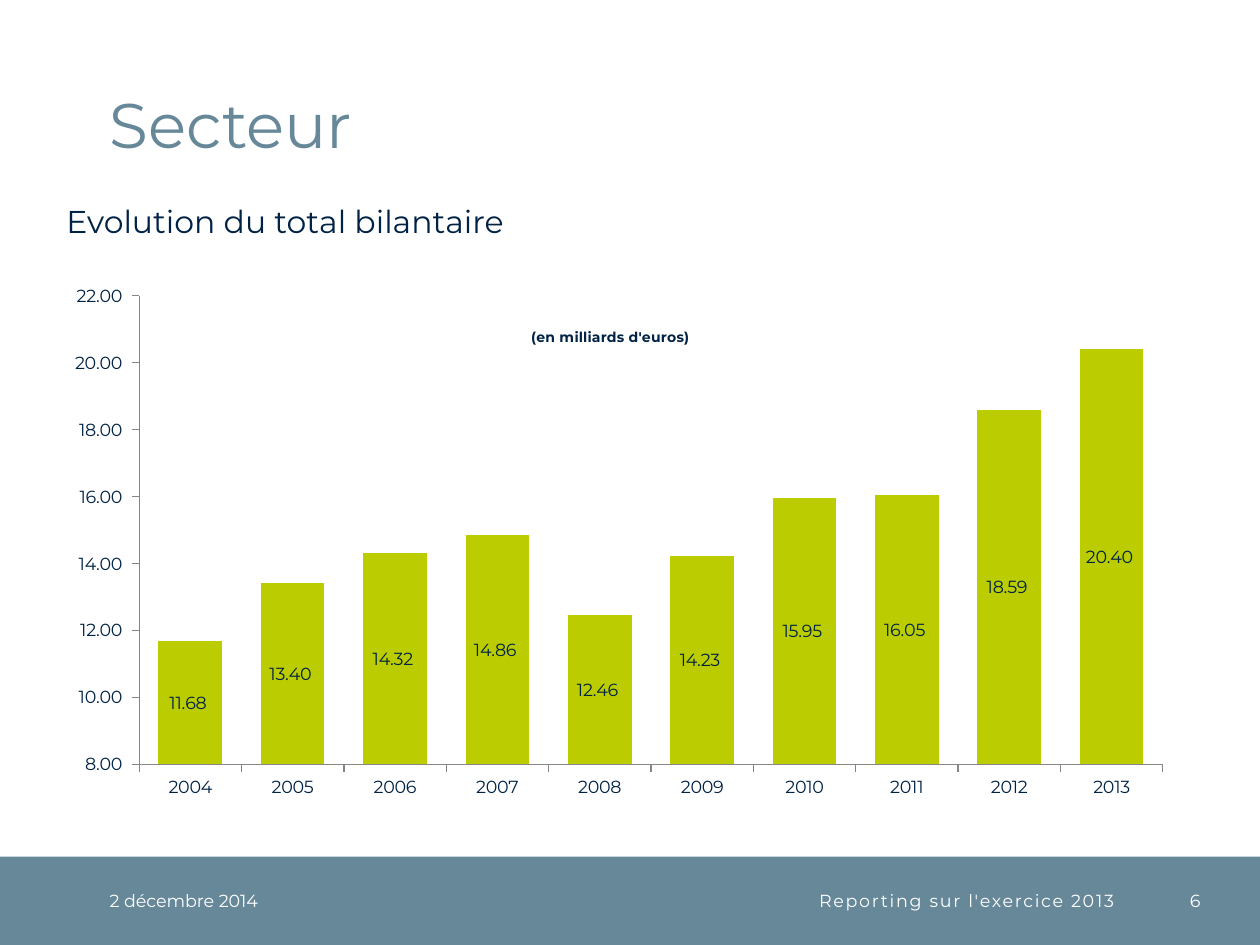
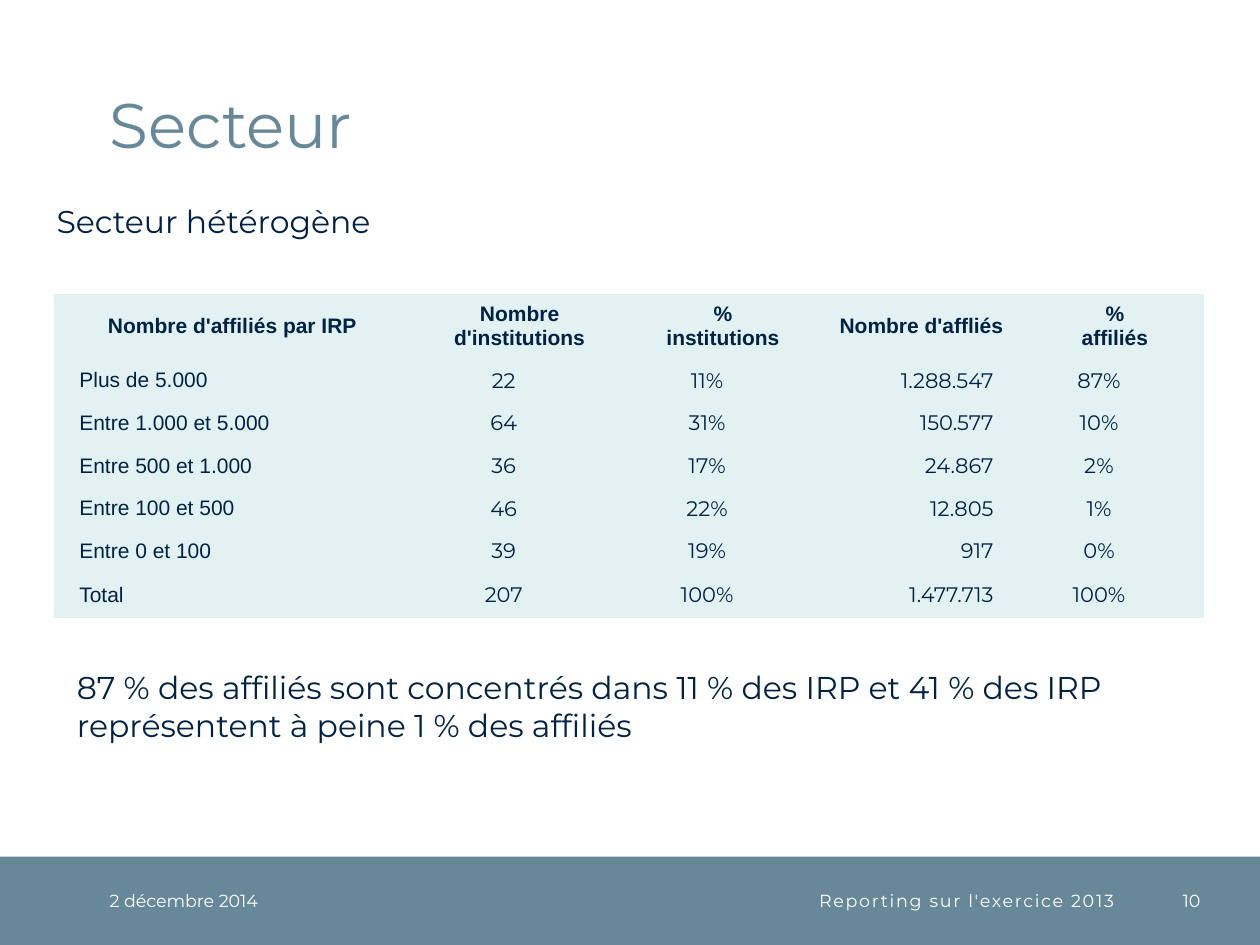
from lxml import etree
from pptx import Presentation
from pptx.chart.data import CategoryChartData
from pptx.dml.color import RGBColor
from pptx.enum.chart import XL_CHART_TYPE as Kind, XL_LABEL_POSITION as Spot, XL_TICK_MARK as Tick
from pptx.enum.shapes import MSO_SHAPE as Shape
from pptx.enum.text import MSO_ANCHOR as Anchor, PP_ALIGN as Align
from pptx.oxml.ns import qn
from pptx.util import Cm, Pt

DATE = "2 décembre 2014"
FOOTER = "Reporting sur l'exercice 2013"
TITLE = "Secteur"

UNIT = "(en milliards d'euros)"
YEARS = [str(year) for year in range(2004, 2014)]
TOTALS = [11.68, 13.40, 14.32, 14.86, 12.46, 14.23, 15.95, 16.05, 18.59, 20.40]
FORMAT = r"#,##0.00_ ;[Red]\-#,##0.00\ "

HEADS = ["Nombre d'affiliés par IRP", "Nombre\nd'institutions", "%\ninstitutions",
         "Nombre d'affliés", "%\naffiliés"]
ROWS = [
    ("Plus de 5.000", "22", "11%", "1.288.547", "87%"),
    ("Entre 1.000 et 5.000", "64", "31%", "150.577", "10%"),
    ("Entre 500 et 1.000", "36", "17%", "24.867", "2%"),
    ("Entre 100 et 500", "46", "22%", "12.805", "1%"),
    ("Entre 0 et 100", "39", "19%", "917", "0%"),
    ("Total", "207", "100%", "1.477.713", "100%"),
]
WIDTHS = [7.19, 4.39, 3.81, 4.19, 3.61]
HEIGHTS = [1.32] + [0.86] * 5 + [0.91]
ALIGNS = [Align.LEFT, Align.CENTER, Align.CENTER, Align.RIGHT, Align.CENTER]
NOTE = ("87 % des affiliés sont concentrés dans 11 % des IRP et 41 % des IRP "
        "représentent à peine 1 % des affiliés")

SLATE = RGBColor(0x66, 0x88, 0x99)
NAVY = RGBColor(0x00, 0x22, 0x44)
LIME = RGBColor(0xBB, 0xCC, 0x00)
PALE = RGBColor(0xE2, 0xF2, 0xF2)
GREY = RGBColor(0x86, 0x86, 0x86)
WHITE = RGBColor(0xFF, 0xFF, 0xFF)
MAIN, PLAIN = "Montserrat", "Arial"
WIDE, BAND_TOP, BAND_H = 25.4, 17.27, 1.78
NO_STYLE = "{2D5ABB26-0587-4C30-8999-92F81FD0307C}"


def style(font, size, color=NAVY, name=MAIN, bold=False):
    font.name, font.size, font.bold = name, Pt(size), bold
    font.color.rgb = color


def add_text(slide, text, box, size, color=NAVY, align=Align.LEFT, anchor=Anchor.TOP, tight=False):
    frame = slide.shapes.add_textbox(*map(Cm, box)).text_frame
    frame.word_wrap = True
    frame.vertical_anchor = anchor
    if tight:
        frame.margin_left = frame.margin_right = frame.margin_top = frame.margin_bottom = 0
    par = frame.paragraphs[0]
    par.text, par.alignment = text, align
    style(par.font, size, color)
    return par


def add_foot(slide, text, left, width, align):
    return add_text(slide, text, (left, BAND_TOP, width, BAND_H), 10, WHITE,
                    align, Anchor.MIDDLE, True)


def add_page(deck, number, head, left):
    """Add a slide with band, footers, title and subtitle."""
    slide = deck.slides.add_slide(deck.slide_layouts[6])
    band = slide.shapes.add_shape(Shape.RECTANGLE, *map(Cm, (0, BAND_TOP, WIDE, BAND_H)))
    band.shadow.inherit = False
    band.fill.solid()
    band.fill.fore_color.rgb = SLATE
    band.line.fill.background()
    add_foot(slide, DATE, 2.21, 4.5, Align.LEFT)
    foot = add_foot(slide, FOOTER, 6.71, 15.75, Align.RIGHT)
    foot.runs[0]._r.get_or_add_rPr().set("spc", "100")
    add_foot(slide, str(number), 22.96, 1.24, Align.RIGHT)
    title = add_text(slide, TITLE, (2.21, 0.51, 21.92, 2.74), 36, SLATE,
                     anchor=Anchor.BOTTOM, tight=True)
    title.line_spacing = Pt(32)
    add_text(slide, head, (left, 3.94, 10.8, 1.02), 18)
    return slide


def place(node, **parts):
    """Give a chart part a fixed place, in shares of the chart."""
    layout = node.find(qn("c:layout"))
    if layout is None:
        layout = etree.Element(qn("c:layout"))
        node.insert(0, layout)
    manual = etree.SubElement(layout, qn("c:manualLayout"))
    for tag, value in parts.items():
        etree.SubElement(manual, qn("c:" + tag)).set("val", str(value))


def add_bars(slide):
    data = CategoryChartData()
    data.categories = YEARS
    data.add_series("Total bilantaire", TOTALS)
    box = map(Cm, (1.07, 4.52, 22.83, 11.81))
    chart = slide.shapes.add_chart(Kind.COLUMN_STACKED, *box, data).chart
    style(chart.font, 10)
    chart.has_legend = False

    par = chart.chart_title.text_frame.paragraphs[0]
    par.text = UNIT
    style(par.font, 8, bold=True)
    place(chart.chart_title._element, xMode="edge", yMode="edge", x=0.42, y=0.17)
    area = chart._chartSpace.chart.plotArea
    place(area, layoutTarget="inner", xMode="edge", yMode="edge", x=0.076, y=0.122, w=0.904, h=0.8)

    for axis in (chart.category_axis, chart.value_axis):
        axis.has_major_gridlines = False
        axis.major_tick_mark = Tick.OUTSIDE
        axis.minor_tick_mark = Tick.NONE
        axis.format.line.color.rgb = GREY
    scale = chart.value_axis
    scale.minimum_scale, scale.maximum_scale, scale.major_unit = 8, 22, 2

    plot = chart.plots[0]
    plot.gap_width, plot.overlap, plot.vary_by_categories = 61, 100, False
    fill = plot.series[0].format.fill
    fill.solid()
    fill.fore_color.rgb = LIME
    plot.has_data_labels = True
    marks = plot.data_labels
    marks.show_value, marks.position = True, Spot.CENTER
    style(marks.font, 10)
    for labels in (scale.tick_labels, marks):
        labels.number_format, labels.number_format_is_linked = FORMAT, False


def fill_cell(cell, text, row, col):
    head = row == 0
    cell.fill.solid()
    cell.fill.fore_color.rgb = PALE
    cell.vertical_anchor = Anchor.MIDDLE
    cell.margin_top = cell.margin_bottom = 0
    cell.margin_left = Cm(0 if head or col else 0.51)
    cell.margin_right = Cm(0 if head or not col else 0.64)
    cell.text = text
    for par in cell.text_frame.paragraphs:
        par.alignment = Align.CENTER if head else ALIGNS[col]
        style(par.font, 12, name=PLAIN if head or not col else MAIN, bold=head)


def add_grid(slide):
    cells = [HEADS, *ROWS]
    box = map(Cm, (1.09, 5.92, sum(WIDTHS), sum(HEIGHTS)))
    table = slide.shapes.add_table(len(cells), len(HEADS), *box).table
    table.first_row = table.horz_banding = False
    table._tbl.tblPr.find(qn("a:tableStyleId")).text = NO_STYLE
    for col, width in zip(table.columns, WIDTHS):
        col.width = Cm(width)
    for row, height in zip(table.rows, HEIGHTS):
        row.height = Cm(height)
    for r, line in enumerate(cells):
        for c, text in enumerate(line):
            fill_cell(table.cell(r, c), text, r, c)


def main():
    deck = Presentation()
    deck.slide_width, deck.slide_height = Cm(WIDE), Cm(19.05)
    add_bars(add_page(deck, 6, "Evolution du total bilantaire", 1.09))
    slide = add_page(deck, 10, "Secteur hétérogène", 0.89)
    add_grid(slide)
    add_text(slide, NOTE, (1.3, 13.34, 23.01, 1.8), 18)
    deck.save("out.pptx")


if __name__ == "__main__":
    main()
